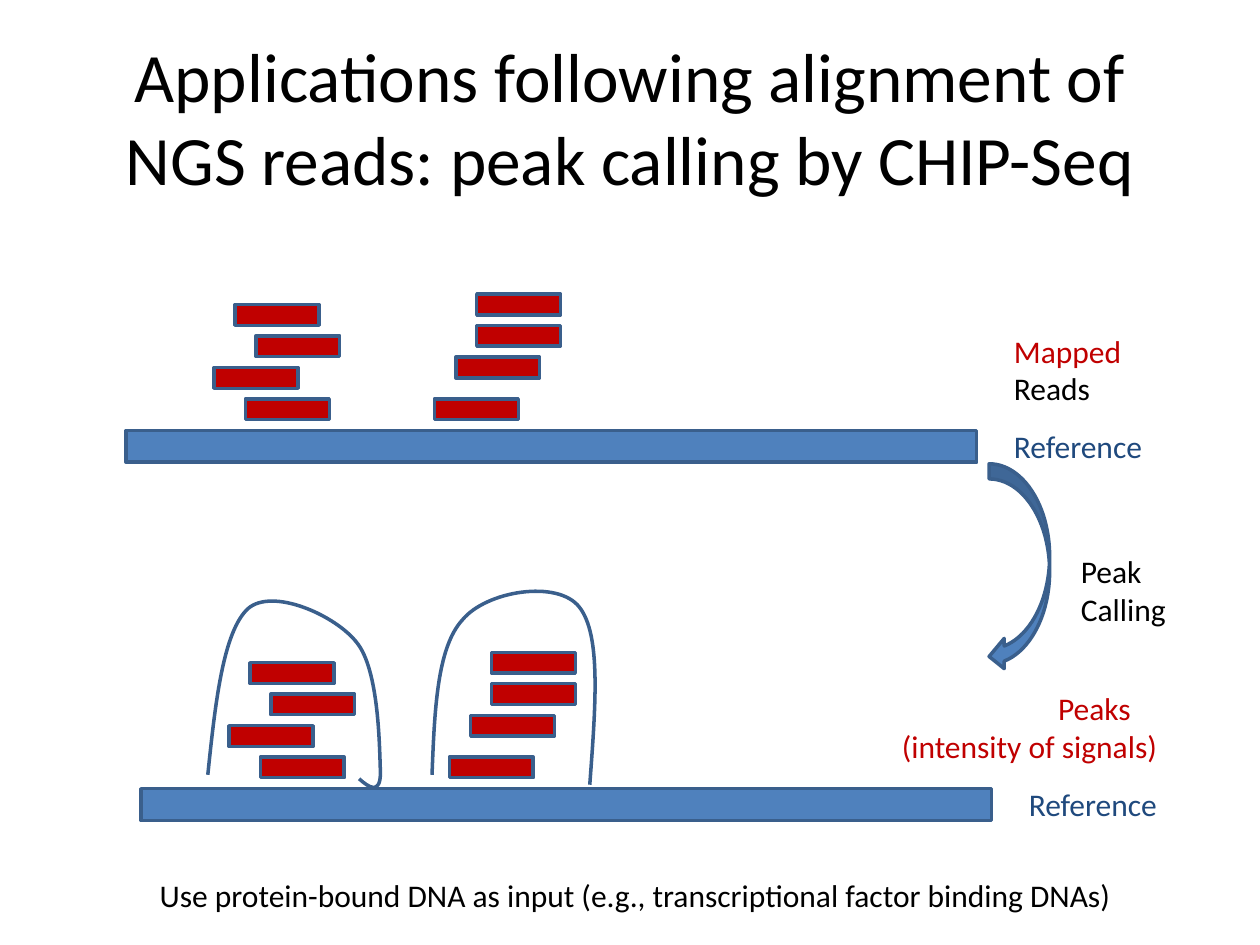
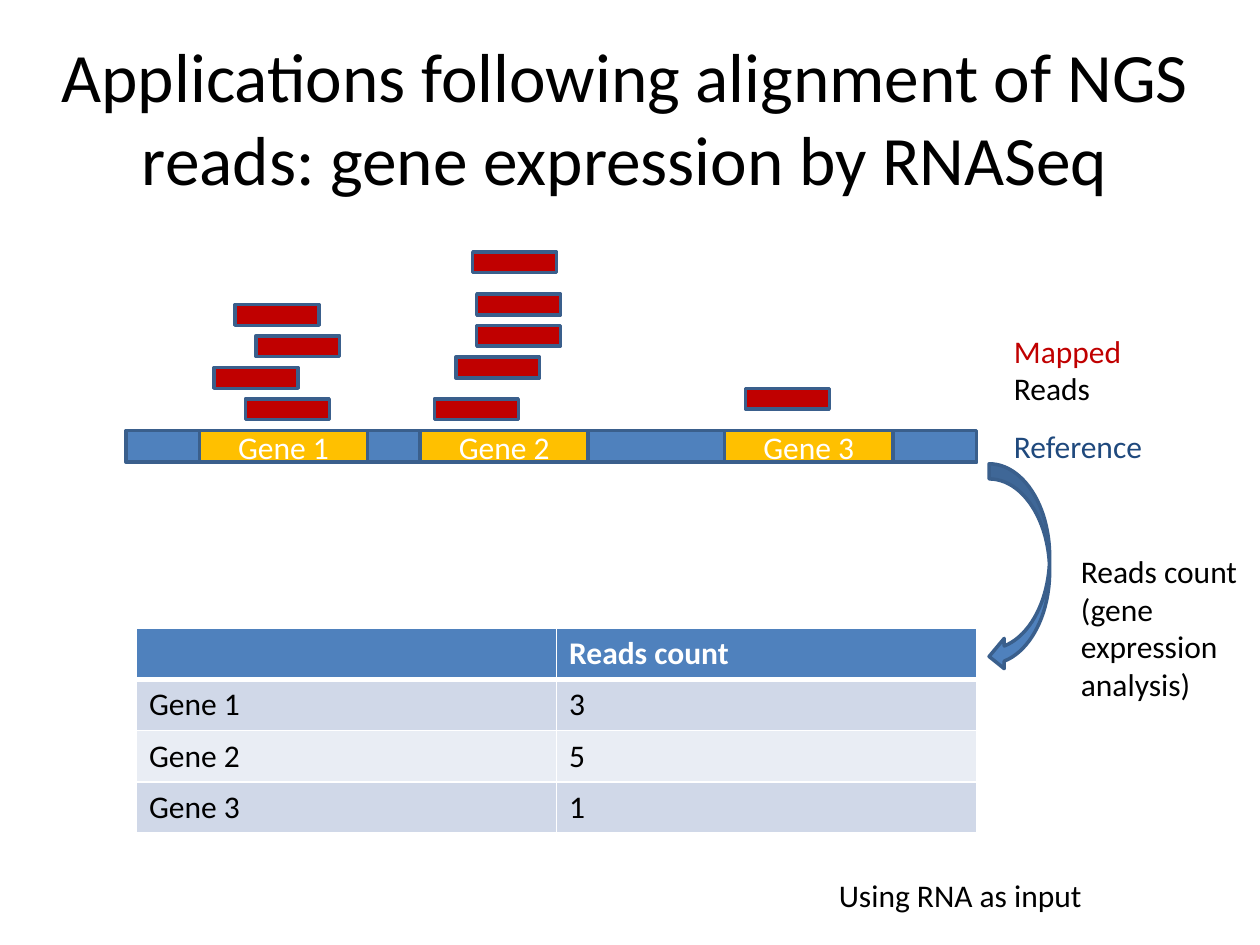
"""Builds two slides on peak calling and gene expression after read alignment."""
from dataclasses import dataclass

from lxml import etree
from pptx import Presentation
from pptx import util as u
from pptx.dml.color import RGBColor
from pptx.enum import shapes as kinds, text
from pptx.oxml.ns import qn


@dataclass(frozen=True)
class Theme:
    """Colours, font and sizes shared by the slides."""
    black: str = "000000"
    white: str = "FFFFFF"
    blue: str = "4F81BD"
    outline: str = "3A5F8C"
    navy: str = "1F497D"
    red: str = "C00000"
    gold: str = "FFC000"
    bands: tuple = ("D0D8E8", "E9EDF4")
    font: str = "Calibri"
    title_size: float = 39.6
    body_size: float = 18
    line_width: float = 2


THEME = Theme()

PEAK_TITLE = "Applications following alignment of NGS reads: peak calling by CHIP-Seq"
GENE_TITLE = "Applications following alignment of NGS reads: gene expression by RNASeq"
PEAK_TITLE_BOX = (1.27, 0.76, 22.86, 3.18)
GENE_TITLE_BOX = (0, 0.76, 25.2, 3.18)

REFERENCE_BOX = (2.54, 8.68, 17.15, 0.64)
REFERENCE_LABEL_BOX = (20.19, 8.48, 3.23, 1.02)
MAPPED_LABEL_BOX = (20.19, 6.56, 3.23, 1.79)
ARROW_BOX = (19.94, 9.35, 1.22, 4.19)
STEP_BOX = (21.54, 11, 3.86, 1.79)
PEAKS_BOX = (17.78, 13.77, 5.92, 1.79)
PEAK_CAPTION_BOX = (2.97, 17.53, 21.67, 1.02)
GENE_CAPTION_BOX = (16.66, 17.53, 7.06, 1.02)

MAPPED_LABEL = [[("Mapped", THEME.red), (" Reads", THEME.black)]]
REFERENCE_LABEL = [[("Reference", THEME.navy)]]
PEAKS_LABEL = [[("Peaks", THEME.red)], [("(intensity of signals)", THEME.red)]]
PEAKS_INDENTS = (3.3, 0.15)
PEAK_STEP = [[("Peak", THEME.black)], [("Calling", THEME.black)]]
GENE_STEP = [[("Reads count", THEME.black)],
             [("(gene expression analysis)", THEME.black)]]
PEAK_CAPTION = [[("Use protein-bound DNA as input (e.g., transcriptional factor "
                  "binding DNAs)", THEME.black)]]
GENE_CAPTION = [[("Using RNA as input", THEME.black)]]

READ_SIZE = (1.69, 0.42)
MAPPED_READS = [(4.74, 6.14), (5.16, 6.77), (4.32, 7.41), (4.95, 8.04),
                (9.19, 7.2), (9.61, 6.56), (9.61, 5.93), (8.76, 8.04)]
EXTRA_READS = [(9.53, 5.08), (15.03, 7.83)]
CALLED_OFFSET = (0.3, 7.22)

PEAK_CURVES = [
    [(4.19, 15.62),
     (4.34, 14.17), (4.5, 12.73), (5, 12.27),
     (5.49, 11.84), (6.76, 12.4), (7.19, 12.95),
     (7.65, 13.51), (7.65, 15.11), (7.67, 15.57),
     (7.67, 16.03), (7.44, 15.88), (7.24, 15.7)],
    [(8.71, 15.62),
     (8.76, 14.33), (8.81, 13.06), (9.32, 12.5),
     (9.8, 11.91), (11.25, 11.68), (11.68, 12.24),
     (12.12, 12.8), (12.01, 14.2), (11.89, 15.82)],
]

GENE_LEFTS = {"Gene 1": 4.02, "Gene 2": 8.47, "Gene 3": 14.61}
GENE_WIDTH = 3.39
COUNT_ROWS = [("", "Reads count"), ("Gene 1", "3"), ("Gene 2", "5"), ("Gene 3", "1")]
COUNT_BOX = (2.75, 12.67, 16.94, 4.12)


def lengths(values):
    """Convert numbers in centimetres to lengths."""
    return [u.Cm(value) for value in values]


def moved(box, offset):
    """Shift a box by an offset."""
    return (box[0] + offset[0], box[1] + offset[1], *box[2:])


def style_run(run, color, size=THEME.body_size, bold=False):
    """Apply the theme font to a run."""
    run.font.name, run.font.size, run.font.bold = THEME.font, u.Pt(size), bold
    run.font.color.rgb = RGBColor.from_string(color)


def style_outline(shape):
    """Give a shape the common outline and no shadow."""
    shape.shadow.inherit = False
    shape.line.color.rgb = RGBColor.from_string(THEME.outline)
    shape.line.width = u.Pt(THEME.line_width)


def add_title(slide, title, box):
    """Fill and place the title placeholder."""
    shape = slide.shapes.title
    shape.left, shape.top, shape.width, shape.height = lengths(box)
    frame = shape.text_frame
    frame.text = title
    frame.auto_size = text.MSO_AUTO_SIZE.NONE
    frame.vertical_anchor = text.MSO_ANCHOR.MIDDLE
    frame.paragraphs[0].alignment = text.PP_ALIGN.CENTER
    style_run(frame.paragraphs[0].runs[0], THEME.black, THEME.title_size)


def add_label(shapes, box, paragraphs, indents=()):
    """Add a wrapped text box made of coloured runs."""
    frame = shapes.add_textbox(*lengths(box)).text_frame
    frame.word_wrap = True
    for index, pieces in enumerate(paragraphs):
        paragraph = frame.add_paragraph() if index else frame.paragraphs[0]
        for words, color in pieces:
            run = paragraph.add_run()
            run.text = words
            style_run(run, color)
    for paragraph, indent in zip(frame.paragraphs, indents):
        paragraph._p.get_or_add_pPr().set("marL", str(u.Cm(indent)))


def add_block(shapes, box, color, kind=kinds.MSO_SHAPE.RECTANGLE):
    """Add an outlined preset shape."""
    shape = shapes.add_shape(kind, *lengths(box))
    shape.fill.solid()
    shape.fill.fore_color.rgb = RGBColor.from_string(color)
    style_outline(shape)
    return shape


def add_reads(shapes, reads, offset=(0, 0)):
    """Draw reads of equal size."""
    for corner in reads:
        add_block(shapes, moved(corner + READ_SIZE, offset), THEME.red)


def add_alignment(shapes, label, label_box, offset=(0, 0), indents=()):
    """Draw the reference, its reads and their labels."""
    add_block(shapes, moved(REFERENCE_BOX, offset), THEME.blue)
    add_label(shapes, moved(REFERENCE_LABEL_BOX, offset), REFERENCE_LABEL)
    add_reads(shapes, MAPPED_READS, offset)
    add_label(shapes, label_box, label, indents)


def add_step(shapes, label):
    """Draw the curved arrow and name the step."""
    add_block(shapes, ARROW_BOX, THEME.blue, kinds.MSO_SHAPE.CURVED_LEFT_ARROW)
    add_label(shapes, STEP_BOX, label)


def add_curve(shapes, points):
    """Draw an open curve, three points to each cubic segment."""
    start, *rest = [lengths(point) for point in points]
    builder = shapes.build_freeform(*start)
    builder.add_line_segments(rest, close=False)
    shape = builder.convert_to_shape()
    shape.fill.background()
    style_outline(shape)
    outline = shape._element.find(".//" + qn("a:path"))
    segments = outline.findall(qn("a:lnTo"))
    for first in range(0, len(segments), 3):
        cubic = etree.SubElement(outline, qn("a:cubicBezTo"))
        for segment in segments[first:first + 3]:
            cubic.append(segment[0])
            outline.remove(segment)


def add_gene(shapes, name, left):
    """Mark a named gene on the reference."""
    shape = add_block(shapes, (left, REFERENCE_BOX[1], GENE_WIDTH, REFERENCE_BOX[3]),
                      THEME.gold)
    shape.text_frame.text = name
    shape.text_frame.vertical_anchor = text.MSO_ANCHOR.MIDDLE
    paragraph = shape.text_frame.paragraphs[0]
    paragraph.alignment = text.PP_ALIGN.CENTER
    style_run(paragraph.runs[0], THEME.white)


def add_borders(cell, widths):
    """Give a cell white borders with widths in points by side."""
    properties = cell._tc.get_or_add_tcPr()
    for side, width in widths.items():
        line = etree.SubElement(properties, qn("a:ln" + side), w=str(u.Pt(width)))
        fill = etree.SubElement(line, qn("a:solidFill"))
        etree.SubElement(fill, qn("a:srgbClr"), val=THEME.white)


def add_counts(shapes):
    """Add the table of read counts."""
    table = shapes.add_table(len(COUNT_ROWS), len(COUNT_ROWS[0]),
                             *lengths(COUNT_BOX)).table
    for row, values in enumerate(COUNT_ROWS):
        header = row == 0
        color = THEME.blue if header else THEME.bands[(row - 1) % 2]
        widths = {"L": 1, "R": 1, "T": 3 if row == 1 else 1, "B": 3 if header else 1}
        for column, value in enumerate(values):
            cell = table.cell(row, column)
            cell.text = value
            add_borders(cell, widths)
            cell.fill.solid()
            cell.fill.fore_color.rgb = RGBColor.from_string(color)
            for run in cell.text_frame.paragraphs[0].runs:
                style_run(run, THEME.white if header else THEME.black, bold=header)


def build_peak_slide(slide):
    """Show reads before and after peak calling."""
    shapes = slide.shapes
    add_title(slide, PEAK_TITLE, PEAK_TITLE_BOX)
    add_alignment(shapes.add_group_shape().shapes, MAPPED_LABEL, MAPPED_LABEL_BOX)
    add_label(shapes, PEAK_CAPTION_BOX, PEAK_CAPTION)
    add_step(shapes, PEAK_STEP)
    add_alignment(shapes.add_group_shape().shapes, PEAKS_LABEL, PEAKS_BOX,
                  CALLED_OFFSET, PEAKS_INDENTS)
    for points in PEAK_CURVES:
        add_curve(shapes, points)


def build_gene_slide(slide):
    """Show reads on genes and their counts."""
    shapes = slide.shapes
    add_title(slide, GENE_TITLE, GENE_TITLE_BOX)
    add_alignment(shapes, MAPPED_LABEL, MAPPED_LABEL_BOX)
    add_label(shapes, GENE_CAPTION_BOX, GENE_CAPTION)
    add_step(shapes, GENE_STEP)
    add_reads(shapes, EXTRA_READS)
    for name, left in GENE_LEFTS.items():
        add_gene(shapes, name, left)
    add_counts(shapes)


def main():
    """Build and save the presentation."""
    presentation = Presentation()
    presentation.slide_width, presentation.slide_height = lengths((25.4, 19.05))
    for build in (build_peak_slide, build_gene_slide):
        build(presentation.slides.add_slide(presentation.slide_layouts[5]))
    presentation.save("out.pptx")


if __name__ == "__main__":
    main()
